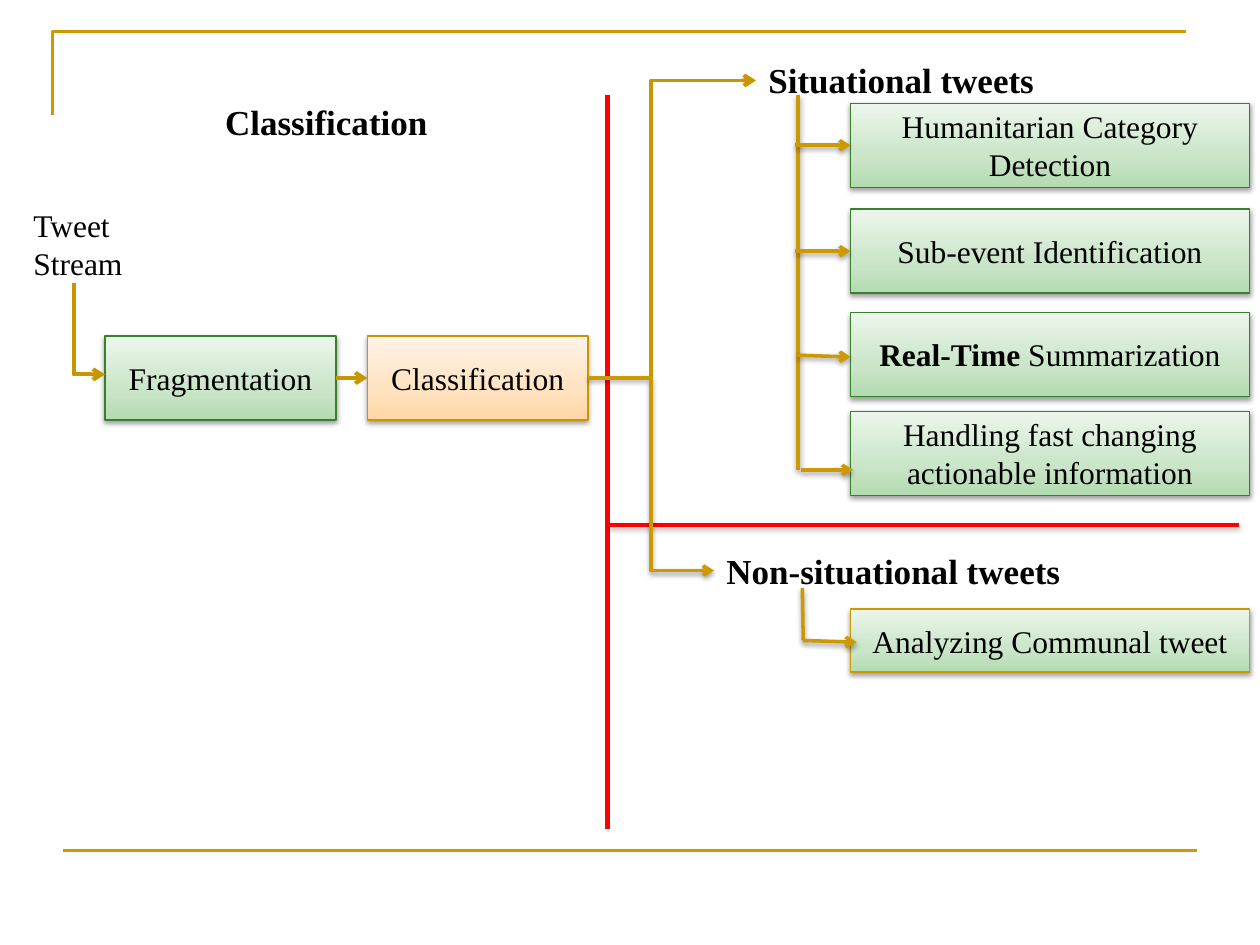
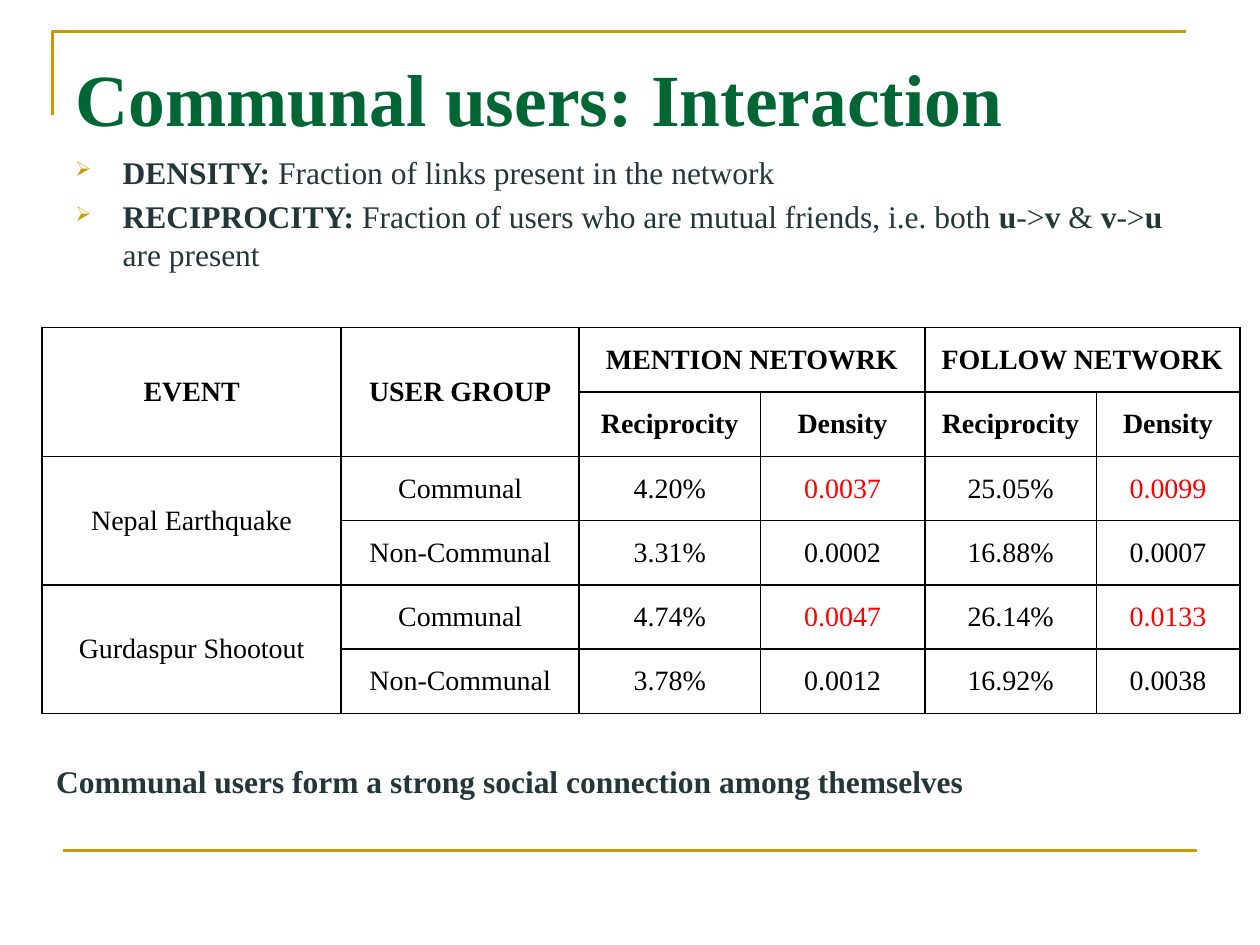
import copy
from dataclasses import dataclass
from typing import Any, NamedTuple

import pptx
import pptx.dml.color
import pptx.enum.shapes
import pptx.enum.text
import pptx.oxml.ns
import pptx.util
from lxml import etree

Pt = pptx.util.Pt
qn = pptx.oxml.ns.qn
ALIGN = pptx.enum.text.PP_ALIGN
ANCHOR = pptx.enum.text.MSO_ANCHOR
CONNECTOR = pptx.enum.shapes.MSO_CONNECTOR
RECTANGLE = pptx.enum.shapes.MSO_SHAPE.RECTANGLE


@dataclass(frozen=True)
class Theme:
    font: str = "Times New Roman"
    black: str = "000000"
    white: str = "FFFFFF"
    red: str = "FF0000"
    slate: str = "23373B"
    gold: str = "CC9900"
    flow_gold: str = "C89600"
    leaf: str = "38802C"
    title_green: str = "006633"
    green_fade: tuple[str, ...] = ("B3DBB0", "CAE5C8", "EBF6EA")
    orange_fade: tuple[str, ...] = ("FFD6A5", "FFE2BF", "FFF3E7")
    title_size: float = 42
    heading_size: float = 20
    body_size: float = 18
    table_size: float = 16


THEME = Theme()


class Frame(NamedTuple):
    left: float
    top: float
    width: float
    height: float


class TextStyle(NamedTuple):
    size: float
    color: str = THEME.black
    bold: bool = False
    align: Any = ALIGN.LEFT


class Stroke(NamedTuple):
    color: str
    width: float
    shadow: bool = False


class Box(NamedTuple):
    frame: Frame
    runs: tuple[str, ...]
    fade: tuple[str, ...] = THEME.green_fade
    border: str = THEME.leaf


class Link(NamedTuple):
    x1: float
    y1: float
    x2: float
    y2: float
    stroke: Stroke
    arrow: bool = True


HEADING = TextStyle(THEME.heading_size, bold=True)
LABEL = TextStyle(THEME.body_size)
BOX_TEXT = TextStyle(THEME.body_size, align=ALIGN.CENTER)
BODY = TextStyle(THEME.body_size, THEME.slate)

RULE = Stroke(THEME.gold, 1.5)
FLOW = Stroke(THEME.flow_gold, 2.25)
BRANCH = Stroke(THEME.gold, 2, shadow=True)

STEPS = (
    Box(Frame(60, 192, 132, 48), ("Fragmentation",)),
    Box(Frame(210, 192, 126, 48), ("Classification",), THEME.orange_fade, THEME.flow_gold),
)
TASKS = tuple(
    Box(Frame(486, top, 228, 48), runs)
    for top, runs in (
        (59, ("Humanitarian Category Detection",)),
        (119.5, ("Sub-event Identification",)),
        (178.5, ("Real-Time", " Summarization")),
        (235, ("Handling fast changing actionable information",)),
    )
) + (Box(Frame(486, 348, 228, 36), ("Analyzing Communal tweet",), border=THEME.gold),)

DIVIDERS = (
    Link(347, 54, 347, 474, Stroke(THEME.red, 3), False),
    Link(348, 300, 708, 300, Stroke(THEME.red, 2, True), False),
)
LINKS = (
    Link(192, 216, 210, 216, FLOW),
    Link(456, 54, 456, 268.5, BRANCH, False),
    Link(454.5, 83, 486, 83, BRANCH),
    Link(454.5, 143.5, 486, 143.5, BRANCH),
    Link(456, 203, 486, 204, BRANCH),
    Link(458, 268.5, 487.5, 268.5, BRANCH),
    Link(458.5, 336, 459, 366, BRANCH, False),
    Link(459, 366, 489.5, 367, BRANCH),
)

DEFINITIONS = (
    ("DENSITY: ", "Fraction of links present in the network"),
    ("RECIPROCITY:", " Fraction of users who are mutual friends, i.e. both ",
     "u", "->", "v", " & ", "v", "->", "u", " are present"),
)
COLUMN_WIDTHS = (171, 136, 103.5, 94, 98, 82)
ROW_HEIGHTS = (37, 37, 35, 37, 35, 37)
HEADER_ROWS = 2
ROWS = (
    ("EVENT", "USER GROUP", "MENTION NETOWRK", "", "FOLLOW NETWORK", ""),
    ("", "", "Reciprocity", "Density", "Reciprocity", "Density"),
    ("Nepal Earthquake", "Communal", "4.20%", "0.0037", "25.05%", "0.0099"),
    ("", "Non-Communal", "3.31%", "0.0002", "16.88%", "0.0007"),
    ("Gurdaspur Shootout", "Communal", "4.74%", "0.0047", "26.14%", "0.0133"),
    ("", "Non-Communal", "3.78%", "0.0012", "16.92%", "0.0038"),
)
MERGES = (((0, 0), (1, 0)), ((0, 1), (1, 1)), ((0, 2), (0, 3)), ((0, 4), (0, 5)),
          ((2, 0), (3, 0)), ((4, 0), (5, 0)))


def rgb(color: str) -> pptx.dml.color.RGBColor:
    return pptx.dml.color.RGBColor.from_string(color)


def pts(values) -> list:
    return [Pt(v) for v in values]


def add_xml(parent, tag: str, **attributes: str):
    return etree.SubElement(parent, qn(tag), attributes)


def write(p, runs: tuple[str, ...], style: TextStyle) -> None:
    """Fill a paragraph; when there are several runs, bold and regular alternate."""
    p.alignment = style.align
    p.font.name = THEME.font
    p.font.size = Pt(style.size)
    p.font.color.rgb = rgb(style.color)
    p.font.bold = style.bold
    for i, text in enumerate(runs):
        r = p.add_run()
        r.text = text
        if len(runs) > 1:
            r.font.bold = i % 2 == 0


def draw_line(sp, stroke: Stroke) -> None:
    sp.line.color.rgb = rgb(stroke.color)
    sp.line.width = Pt(stroke.width)
    effects = add_xml(sp._element.spPr, "a:effectLst")
    if stroke.shadow:
        shadow = add_xml(effects, "a:outerShdw", blurRad=str(Pt(3.1)), dist=str(Pt(1.6)),
                         dir="5400000", rotWithShape="0")
        add_xml(add_xml(shadow, "a:srgbClr", val=THEME.black), "a:alpha", val="38000")


def add_text(slide, frame: Frame, lines: tuple[str, ...], style: TextStyle) -> None:
    tf = slide.shapes.add_textbox(*pts(frame)).text_frame
    tf.word_wrap = True
    for i, line in enumerate(lines):
        write(tf.add_paragraph() if i else tf.paragraphs[0], (line,), style)


def add_box(slide, box: Box) -> None:
    sp = slide.shapes.add_shape(RECTANGLE, *pts(box.frame))
    sp.fill.gradient()
    sp.fill.gradient_angle = 90
    stops = sp._element.spPr.find(".//" + qn("a:gsLst"))
    stops.append(copy.deepcopy(stops[0]))
    for stop, color, position in zip(sp.fill.gradient_stops, box.fade, (0, 0.35, 1)):
        stop.color.rgb = rgb(color)
        stop.position = position
    draw_line(sp, Stroke(box.border, 0.75, shadow=True))
    sp.text_frame.word_wrap = True
    sp.text_frame.vertical_anchor = ANCHOR.MIDDLE
    write(sp.text_frame.paragraphs[0], box.runs, BOX_TEXT)


def add_link(slide, link: Link, kind=CONNECTOR.STRAIGHT):
    sp = slide.shapes.add_connector(kind, *pts(link[:4]))
    draw_line(sp, link.stroke)
    if link.arrow:
        add_xml(sp._element.spPr.find(qn("a:ln")), "a:tailEnd", type="arrow")
    return sp


def add_corner(slide, link: Link) -> None:
    """Arrow with one bend that runs vertically first, then to the right."""
    down = link.y2 > link.y1
    mid_x, mid_y = (link.x1 + link.x2) / 2, (link.y1 + link.y2) / 2
    half_w = abs(link.y2 - link.y1) / 2
    half_h = (link.x1 - link.x2) / 2 if down else (link.x2 - link.x1) / 2
    turned = Link(mid_x + half_w, mid_y + half_h, mid_x - half_w, mid_y - half_h, link.stroke)
    spPr = add_link(slide, turned, CONNECTOR.ELBOW)._element.spPr
    spPr.find(qn("a:prstGeom")).set("prst", "bentConnector2")
    spPr.find(qn("a:xfrm")).set("rot", "16200000" if down else "5400000")


def add_slide(prs, layout: int):
    """New slide with the gold corner and the bottom rule."""
    slide = prs.slides.add_slide(prs.slide_layouts[layout])
    builder = slide.shapes.build_freeform(Pt(30), Pt(66))
    builder.add_line_segments([(Pt(30), Pt(18)), (Pt(678), Pt(18))], close=False)
    corner = builder.convert_to_shape()
    corner.fill.background()
    draw_line(corner, RULE)
    add_link(slide, Link(36, 486, 684, 486, RULE, False))
    return slide


def build_classification(prs) -> None:
    slide = add_slide(prs, 6)
    for link in DIVIDERS:
        add_link(slide, link)
    add_text(slide, Frame(12, 114, 72, 51), ("Tweet", "Stream"), LABEL)
    add_text(slide, Frame(116.5, 54, 140, 32), ("Classification",),
             HEADING._replace(align=ALIGN.CENTER))
    add_text(slide, Frame(432, 30, 180, 32), ("Situational tweets",), HEADING)
    sp = slide.shapes.add_shape(RECTANGLE, *pts((408, 310.5, 252, 31.5)))
    sp.fill.solid()
    sp.fill.fore_color.rgb = rgb(THEME.white)
    draw_line(sp, Stroke(THEME.white, 2))
    write(sp.text_frame.paragraphs[0], ("Non-situational tweets",), HEADING)
    for box in STEPS + TASKS:
        add_box(slide, box)
    add_corner(slide, Link(42, 162, 60, 214, FLOW))
    add_corner(slide, Link(372, 218, 432, 46, FLOW))
    add_link(slide, Link(336, 216, 408, 326, BRANCH), CONNECTOR.ELBOW)
    for link in LINKS:
        add_link(slide, link)


def add_definitions(slide) -> None:
    tf = slide.shapes.add_textbox(*pts((36, 84, 648, 76))).text_frame
    tf.word_wrap = True
    for i, runs in enumerate(DEFINITIONS):
        p = tf.add_paragraph() if i else tf.paragraphs[0]
        pPr = p._p.get_or_add_pPr()
        pPr.set("marL", str(Pt(27)))
        pPr.set("indent", str(Pt(-27)))
        add_xml(add_xml(pPr, "a:buClr"), "a:srgbClr", val=THEME.gold)
        add_xml(pPr, "a:buSzPct", val="65000")
        add_xml(pPr, "a:buChar", char="➢")
        if i:
            p.space_before = Pt(3.6)
        write(p, runs, BODY)


def format_cell(cell, text: str, style: TextStyle) -> None:
    tcPr = cell._tc.get_or_add_tcPr()
    for side in ("a:lnL", "a:lnR", "a:lnT", "a:lnB"):
        ln = add_xml(tcPr, side, w=str(Pt(1)))
        add_xml(add_xml(ln, "a:solidFill"), "a:srgbClr", val=THEME.black)
    cell.fill.background()
    cell.vertical_anchor = ANCHOR.MIDDLE
    cell.margin_left = cell.margin_right = Pt(6.5)
    cell.margin_top = cell.margin_bottom = Pt(8.6)
    write(cell.text_frame.paragraphs[0], (text,) if text else (), style)


def add_network_table(slide) -> None:
    frame = Frame(24, 187, sum(COLUMN_WIDTHS), sum(ROW_HEIGHTS))
    table = slide.shapes.add_table(len(ROWS), len(COLUMN_WIDTHS), *pts(frame)).table
    table.first_row = table.horz_banding = False
    for column, width in zip(table.columns, COLUMN_WIDTHS):
        column.width = Pt(width)
    for i, (values, height) in enumerate(zip(ROWS, ROW_HEIGHTS)):
        table.rows[i].height = Pt(height)
        for j, text in enumerate(values):
            highlighted = values[1] == "Communal" and ROWS[1][j] == "Density"
            color = THEME.red if highlighted else THEME.black
            style = TextStyle(THEME.table_size, color, i < HEADER_ROWS, ALIGN.CENTER)
            format_cell(table.cell(i, j), text, style)
    for first, last in MERGES:
        table.cell(*first).merge(table.cell(*last))


def build_interaction(prs) -> None:
    slide = add_slide(prs, 5)
    title = slide.shapes.title
    title.left, title.top, title.width, title.height = pts((36, 21.5, 648, 56))
    tf = title.text_frame
    tf.auto_size = pptx.enum.text.MSO_AUTO_SIZE.NONE
    tf.vertical_anchor = ANCHOR.TOP
    tf.margin_top = Pt(9)
    write(tf.paragraphs[0], ("Communal users: Interaction",),
          TextStyle(THEME.title_size, THEME.title_green, True))
    add_definitions(slide)
    add_network_table(slide)
    add_text(slide, Frame(25, 432, 683, 29),
             ("Communal users form a strong social connection among themselves",),
             BODY._replace(bold=True))


def main() -> None:
    prs = pptx.Presentation()
    prs.slide_width, prs.slide_height = Pt(720), Pt(540)
    build_classification(prs)
    build_interaction(prs)
    prs.save("out.pptx")


if __name__ == "__main__":
    main()
